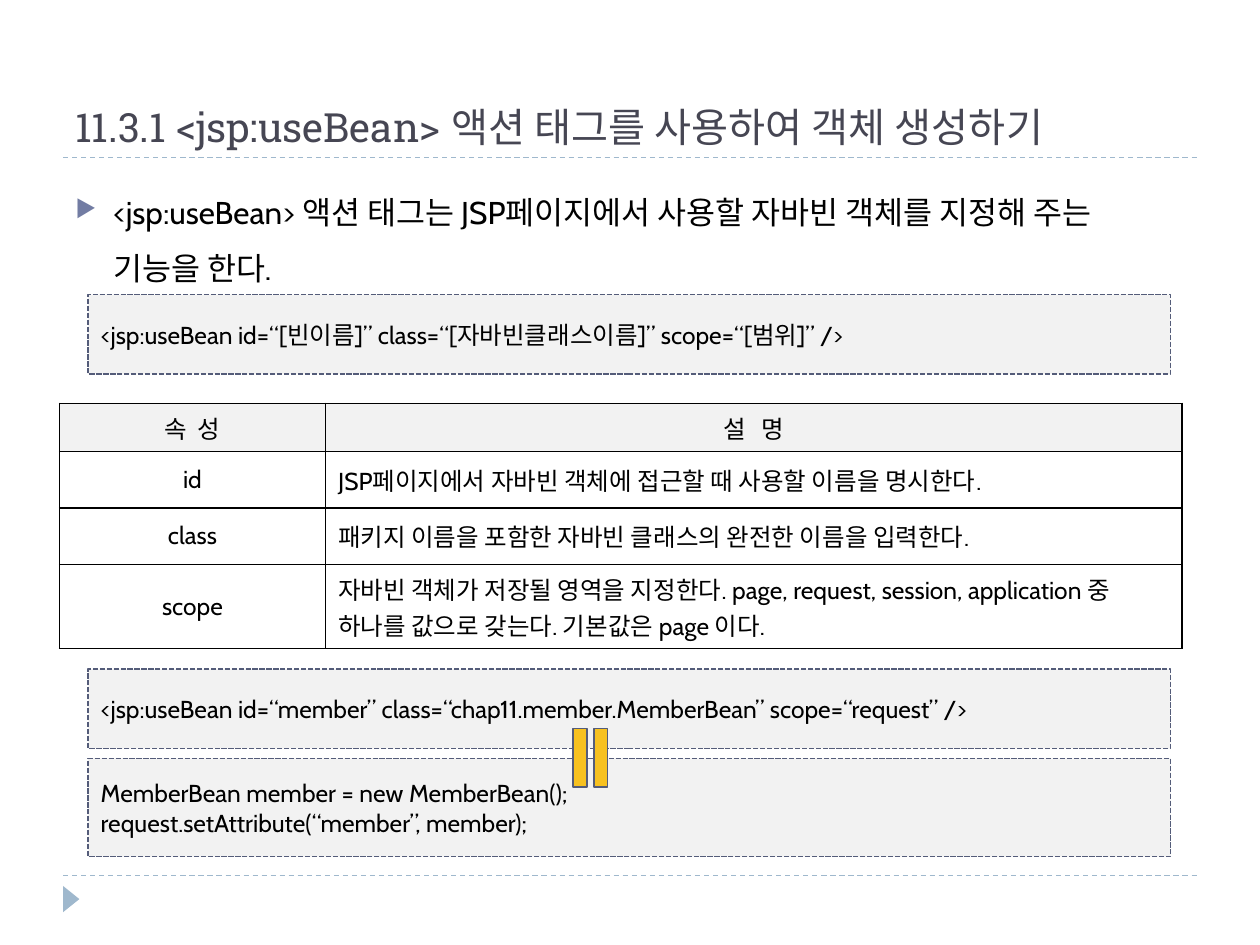
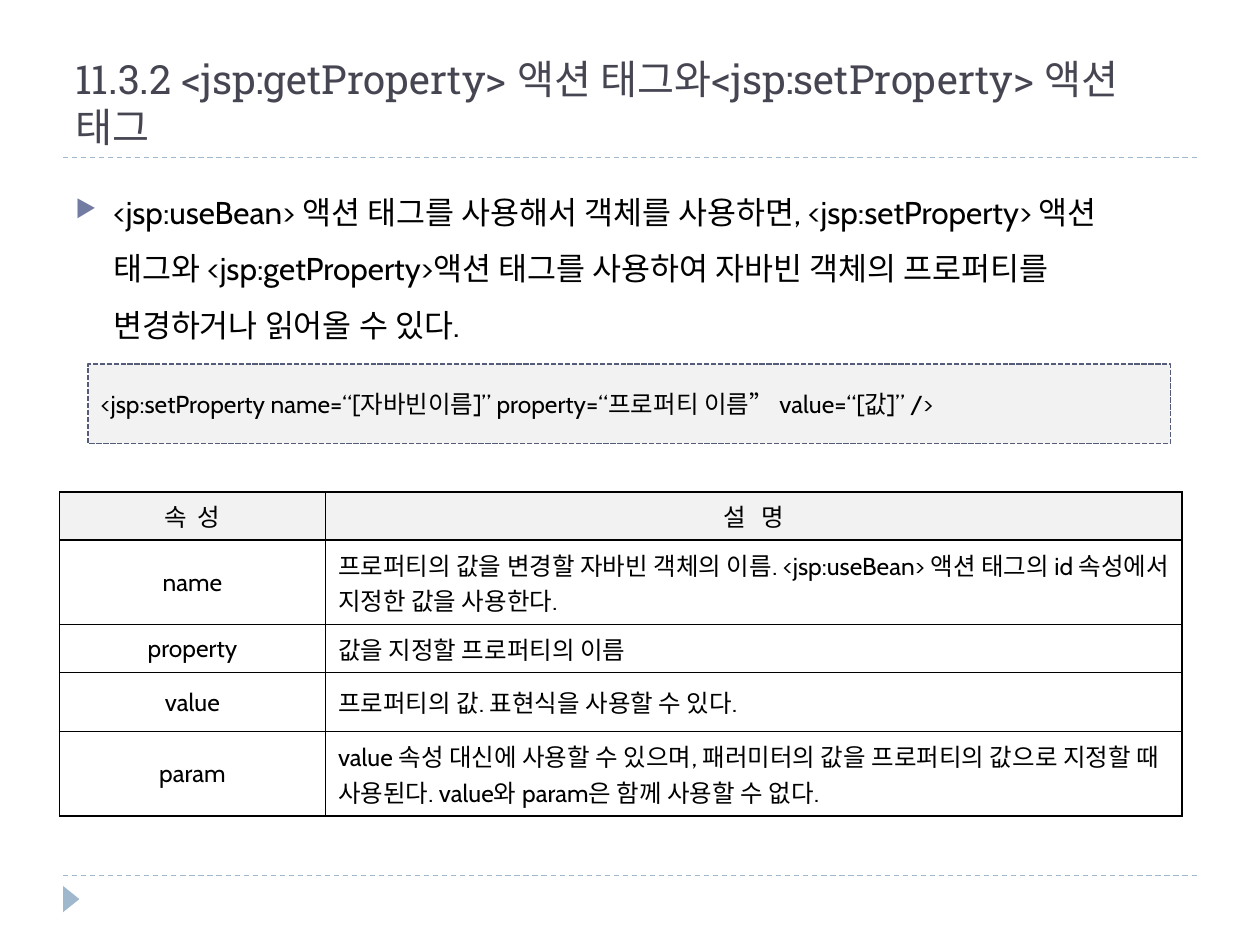
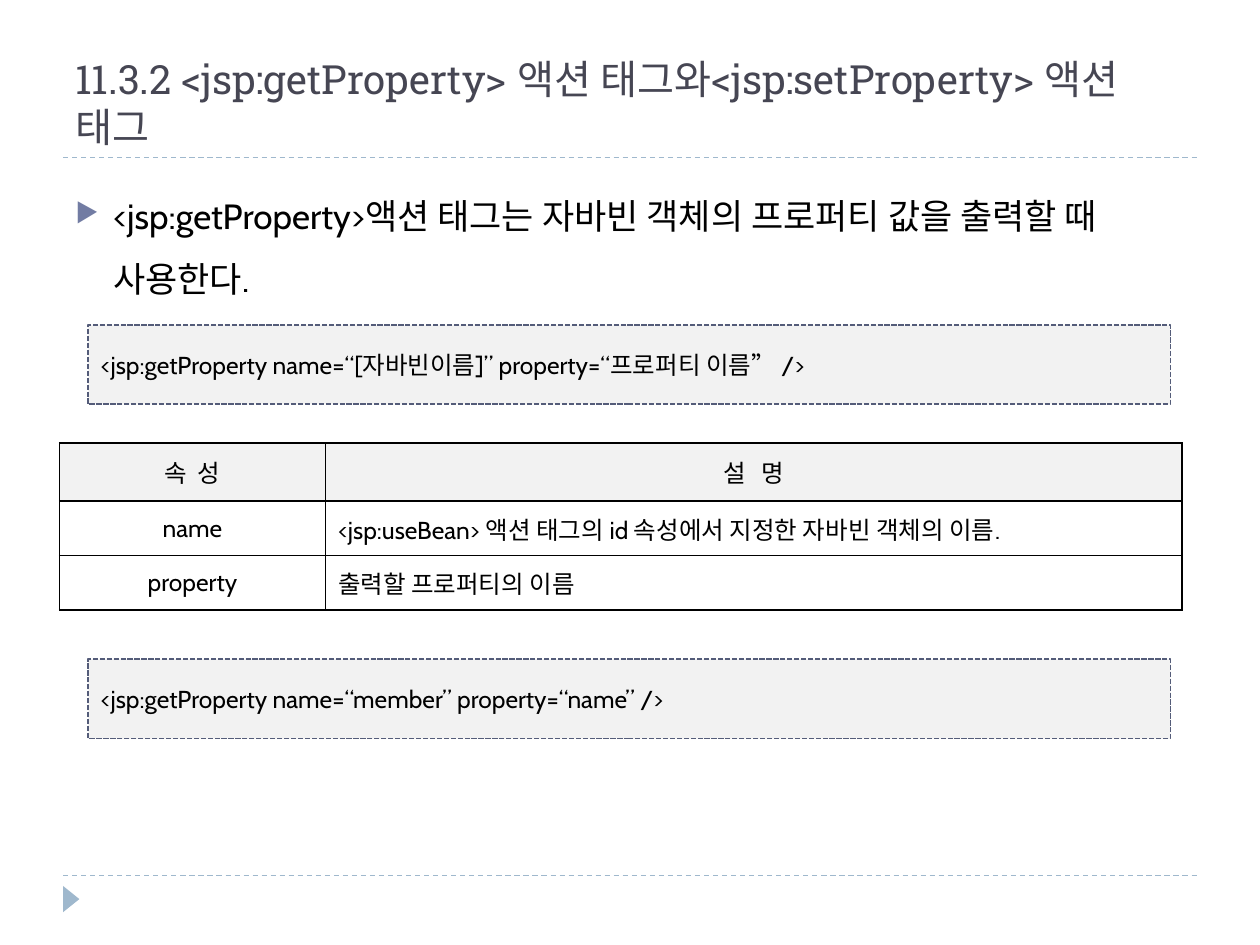
from collections import namedtuple
from dataclasses import dataclass

from lxml.etree import SubElement
from pptx import Presentation
from pptx.dml.color import RGBColor
from pptx.enum.dml import MSO_LINE
from pptx.enum.shapes import MSO_CONNECTOR, MSO_SHAPE
from pptx.enum.text import MSO_ANCHOR, PP_ALIGN
from pptx.oxml.ns import qn
from pptx.util import Cm, Pt

Box = namedtuple("Box", "left top width height")


@dataclass(frozen=True)
class Theme:
    heading_font: str = "Roboto Slab"
    body_font: str = "Cabin"
    heading: str = "464653"
    text: str = "000000"
    rule: str = "9FB8CD"
    bullet: str = "727CA3"
    panel: str = "F2F2F2"
    outline: str = "545C79"
    accent: str = "F7C120"
    border: str = "000000"
    title_size: int = 23
    point_size: int = 18
    large_point_size: int = 20
    small_size: int = 14


THEME = Theme()
SLIDE_WIDTH, SLIDE_HEIGHT = 25.4, 19.05
MARGIN = 1.27
CONTENT_WIDTH = SLIDE_WIDTH - 2 * MARGIN
TITLE_BOX = Box(MARGIN, 0.43, CONTENT_WIDTH, 2.74)
POINT_BOX = Box(MARGIN, 3.38, CONTENT_WIDTH, 13.72)
FOOTER_BOX = Box(MARGIN, 17.65, CONTENT_WIDTH, 0.95)
CODE_LEFT, CODE_WIDTH, CODE_HEIGHT = 1.78, 21.82, 1.6
TABLE_LEFT, TABLE_COLUMNS = 1.2, (5.36, 17.27)
HEADER = (("속 성", 150), ("설 명", 300))


def apply_format(target, values):
    for name, value in values.items():
        setattr(target, name, value)


def lengths(box):
    return [Cm(value) for value in box]


def write(text_frame, lines, size, color=THEME.text, font=THEME.body_font,
          align=PP_ALIGN.LEFT, spacing=0):
    for index, line in enumerate(lines):
        paragraph = text_frame.add_paragraph() if index else text_frame.paragraphs[0]
        paragraph.alignment = align
        run = paragraph.add_run()
        run.text = line
        apply_format(run.font, {"name": font, "size": Pt(size)})
        run.font.color.rgb = RGBColor.from_string(color)
        if spacing:
            run._r.get_or_add_rPr().set("spc", str(spacing))


def add_text(slide, box, anchor):
    text_frame = slide.shapes.add_textbox(*lengths(box)).text_frame
    apply_format(text_frame, {"word_wrap": True, "vertical_anchor": anchor})
    return text_frame


def add_figure(slide, preset, box, fill, outline=None, dash=None):
    shape = slide.shapes.add_shape(preset, *lengths(box))
    shape.shadow.inherit = False
    shape.fill.solid()
    shape.fill.fore_color.rgb = RGBColor.from_string(fill)
    if outline:
        shape.line.color.rgb = RGBColor.from_string(outline)
        apply_format(shape.line, {"width": Pt(1), "dash_style": dash})
    else:
        shape.line.fill.background()
    return shape


def add_rule(slide, left, top, width):
    connector = slide.shapes.add_connector(
        MSO_CONNECTOR.STRAIGHT, Cm(left), Cm(top), Cm(left + width), Cm(top))
    connector.line.color.rgb = RGBColor.from_string(THEME.rule)
    apply_format(connector.line, {"width": Pt(0.75), "dash_style": MSO_LINE.DASH})
    SubElement(connector._element.spPr, qn("a:effectLst"))


def add_footer(slide, box):
    add_rule(slide, box.left, box.top, box.width)
    marker = Box(box.left - 0.1, box.top + 0.31, 0.53, 0.33)
    add_figure(slide, MSO_SHAPE.ISOSCELES_TRIANGLE, marker, THEME.rule).rotation = 90


def add_title(slide, box, title):
    add_rule(slide, box.left, box.top + box.height, box.width)
    write(add_text(slide, box, MSO_ANCHOR.BOTTOM), [title], THEME.title_size,
          THEME.heading, THEME.heading_font)


def add_point(slide, box, point, size):
    text_frame = add_text(slide, box, MSO_ANCHOR.TOP)
    write(text_frame, [point], size)
    paragraph = text_frame.paragraphs[0]
    apply_format(paragraph, {"line_spacing": 1.5, "space_before": Pt(6)})
    properties = paragraph._p.get_or_add_pPr()
    properties.set("marL", str(Cm(0.76)))
    properties.set("indent", str(-Cm(0.76)))
    color = SubElement(properties, qn("a:buClr"))
    SubElement(color, qn("a:srgbClr"), val=THEME.bullet)
    SubElement(properties, qn("a:buSzPct"), val="76000")
    SubElement(properties, qn("a:buChar"), char="▶")


def add_code(slide, top, lines, height=CODE_HEIGHT):
    box = Box(CODE_LEFT, top, CODE_WIDTH, height)
    shape = add_figure(slide, MSO_SHAPE.RECTANGLE, box, THEME.panel,
                       THEME.outline, MSO_LINE.SQUARE_DOT)
    apply_format(shape.text_frame,
                 {"word_wrap": True, "vertical_anchor": MSO_ANCHOR.MIDDLE})
    write(shape.text_frame, lines, THEME.small_size)


def add_borders(cell):
    properties = cell._tc.get_or_add_tcPr()
    for side in ("a:lnL", "a:lnR", "a:lnT", "a:lnB"):
        line = SubElement(properties, qn(side), w=str(Pt(1)))
        fill = SubElement(line, qn("a:solidFill"))
        SubElement(fill, qn("a:srgbClr"), val=THEME.border)


def fill_cell(cell, text, align, spacing=0, fill=None):
    cell.vertical_anchor = MSO_ANCHOR.MIDDLE
    write(cell.text_frame, [text], THEME.small_size, align=align, spacing=spacing)
    add_borders(cell)
    if fill:
        cell.fill.solid()
        cell.fill.fore_color.rgb = RGBColor.from_string(fill)
    else:
        cell.fill.background()


def add_attributes(slide, top, heights, attributes):
    box = Box(TABLE_LEFT, top, sum(TABLE_COLUMNS), sum(heights))
    table = slide.shapes.add_table(len(heights), len(TABLE_COLUMNS), *lengths(box)).table
    apply_format(table, {"first_row": False, "horz_banding": False})
    for column, width in zip(table.columns, TABLE_COLUMNS):
        column.width = Cm(width)
    for row, height in zip(table.rows, heights):
        row.height = Cm(height)
    for index, (label, spacing) in enumerate(HEADER):
        fill_cell(table.cell(0, index), label, PP_ALIGN.CENTER, spacing, THEME.panel)
    for index, (name, description) in enumerate(attributes, 1):
        fill_cell(table.cell(index, 0), name, PP_ALIGN.CENTER)
        fill_cell(table.cell(index, 1), description, PP_ALIGN.LEFT)


def add_content_slide(presentation, title, point, point_size=THEME.point_size):
    slide = presentation.slides.add_slide(presentation.slide_layouts[6])
    add_footer(slide, FOOTER_BOX)
    add_title(slide, TITLE_BOX, title)
    add_point(slide, POINT_BOX, point, point_size)
    return slide


def add_use_bean_slide(presentation):
    slide = add_content_slide(
        presentation, "11.3.1 <jsp:useBean> 액션 태그를 사용하여 객체 생성하기",
        "<jsp:useBean> 액션 태그는 JSP페이지에서 사용할 자바빈 객체를 지정해 주는 기능을 한다.")
    add_code(slide, 5.94,
             ["<jsp:useBean id=“[빈이름]” class=“[자바빈클래스이름]” scope=“[범위]” />"])
    add_attributes(slide, 8.13, (0.97, 1.14, 1.14, 1.7), (
        ("id", "JSP페이지에서 자바빈 객체에 접근할 때 사용할 이름을 명시한다."),
        ("class", "패키지 이름을 포함한 자바빈 클래스의 완전한 이름을 입력한다."),
        ("scope", "자바빈 객체가 저장될 영역을 지정한다. page, request, session, application 중 "
                  "하나를 값으로 갖는다. 기본값은 page 이다."),
    ))
    add_code(slide, 13.49,
             ["<jsp:useBean id=“member” class=“chap11.member.MemberBean” scope=“request” />"])
    add_code(slide, 15.29, ["MemberBean member = new MemberBean();",
                            "request.setAttribute(“member”, member);"], 1.98)
    equal_sign = add_figure(slide, MSO_SHAPE.MATH_EQUAL, Box(11.1, 14.68, 1.6, 1.19),
                            THEME.accent, THEME.outline)
    equal_sign.rotation = 270


PROPERTY_TITLE = "11.3.2 <jsp:getProperty> 액션 태그와<jsp:setProperty> 액션 태그"


def add_set_property_slide(presentation):
    slide = add_content_slide(
        presentation, PROPERTY_TITLE,
        "<jsp:useBean> 액션 태그를 사용해서 객체를 사용하면, <jsp:setProperty> 액션 태그와 "
        "<jsp:getProperty>액션 태그를 사용하여 자바빈 객체의 프로퍼티를 변경하거나 읽어올 수 있다.")
    add_code(slide, 7.34,
             ["<jsp:setProperty name=“[자바빈이름]” property=“프로퍼티 이름” value=“[값]” />"])
    add_attributes(slide, 9.92, (0.97, 1.7, 0.97, 1.19, 1.7), (
        ("name", "프로퍼티의 값을 변경할 자바빈 객체의 이름. <jsp:useBean> 액션 태그의 id "
                 "속성에서 지정한 값을 사용한다."),
        ("property", "값을 지정할 프로퍼티의 이름"),
        ("value", "프로퍼티의 값. 표현식을 사용할 수 있다."),
        ("param", "value 속성 대신에 사용할 수 있으며, 패러미터의 값을 프로퍼티의 값으로 지정할 때 "
                  "사용된다. value와 param은 함께 사용할 수 없다."),
    ))


def add_get_property_slide(presentation):
    slide = add_content_slide(
        presentation, PROPERTY_TITLE,
        "<jsp:getProperty>액션 태그는 자바빈 객체의 프로퍼티 값을 출력할 때 사용한다.",
        THEME.large_point_size)
    add_code(slide, 6.55,
             ["<jsp:getProperty name=“[자바빈이름]” property=“프로퍼티 이름” />"])
    add_attributes(slide, 8.93, (1.17, 1.1, 1.1), (
        ("name", "<jsp:useBean> 액션 태그의 id 속성에서 지정한 자바빈 객체의 이름."),
        ("property", "출력할 프로퍼티의 이름"),
    ))
    add_code(slide, 13.29, ["<jsp:getProperty name=“member” property=“name” />"])


presentation = Presentation()
apply_format(presentation, {"slide_width": Cm(SLIDE_WIDTH), "slide_height": Cm(SLIDE_HEIGHT)})
add_use_bean_slide(presentation)
add_set_property_slide(presentation)
add_get_property_slide(presentation)
presentation.save("out.pptx")
